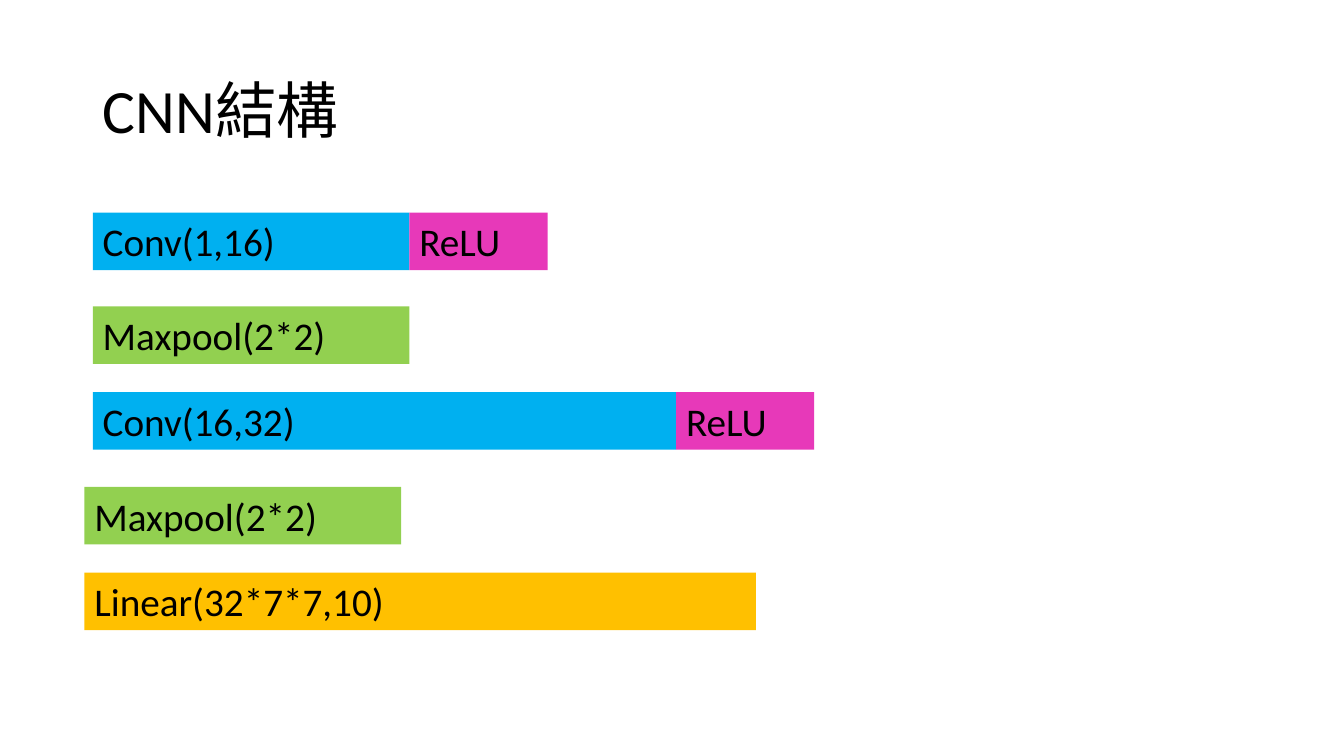
from dataclasses import dataclass

from pptx import Presentation
from pptx.dml.color import RGBColor
from pptx.enum.text import MSO_ANCHOR, MSO_AUTO_SIZE, PP_ALIGN
from pptx.slide import Slide
from pptx.util import Cm, Pt

MIDDLE, TOP = MSO_ANCHOR.MIDDLE, MSO_ANCHOR.TOP
LEFT = PP_ALIGN.LEFT
FIXED = MSO_AUTO_SIZE.NONE

COLORS = {
    "text": "000000",
    "conv": "00B0F0",
    "relu": "E739B9",
    "pool": "92D050",
    "linear": "FFC000",
}
FONT = "Calibri"
MARGIN, OUTER_MARGIN = 2.34, 2.13
BAR_HEIGHT = 1.45
POOL_WIDTH, RELU_WIDTH = 7.98, 3.48


@dataclass(frozen=True)
class Layer:
    """One layer of the network; lengths are in centimetres."""

    text: str
    kind: str
    left: float
    top: float
    width: float
    activated: bool = False


LAYERS = [
    Layer("Conv(1,16)", "conv", MARGIN, 5.36, POOL_WIDTH, True),
    Layer("Maxpool(2*2)", "pool", MARGIN, 7.72, POOL_WIDTH),
    Layer("Conv(16,32)", "conv", MARGIN, 9.88, 14.7, True),
    Layer("Maxpool(2*2)", "pool", OUTER_MARGIN, 12.27, POOL_WIDTH),
    Layer("Linear(32*7*7,10)", "linear", OUTER_MARGIN, 14.43, 16.92),
]


def apply_format(target: object, values: dict[str, object]) -> None:
    """Set every named attribute on the target."""
    for name, value in values.items():
        setattr(target, name, value)


def add_text(page: Slide, text: str, place: tuple[float, float, float, float],
             size: int, fill: str = "", anchor: MSO_ANCHOR = TOP,
             spacing: float = 1.0) -> None:
    """Add a text box, filled when a colour key is given."""
    box = page.shapes.add_textbox(*map(Cm, place))
    if fill:
        box.fill.solid()
        box.fill.fore_color.rgb = RGBColor.from_string(COLORS[fill])
    apply_format(box.text_frame, {"word_wrap": True, "auto_size": FIXED,
                                  "vertical_anchor": anchor})
    para = box.text_frame.paragraphs[0]
    apply_format(para, {"alignment": LEFT, "line_spacing": spacing})
    span = para.add_run()
    span.text = text
    apply_format(span.font, {"name": FONT, "size": Pt(size)})
    span.font.color.rgb = RGBColor.from_string(COLORS["text"])


def add_layer(page: Slide, layer: Layer) -> None:
    """Draw a layer bar and the activation that adjoins it."""
    add_text(page, layer.text, (layer.left, layer.top, layer.width, BAR_HEIGHT),
             28, layer.kind)
    if layer.activated:
        add_text(page, "ReLU", (layer.left + layer.width, layer.top,
                                RELU_WIDTH, BAR_HEIGHT), 28, "relu")


def main() -> None:
    """Build and save the deck."""
    deck = Presentation()
    apply_format(deck, {"slide_width": Cm(33.87), "slide_height": Cm(19.05)})
    page = deck.slides.add_slide(deck.slide_layouts[6])
    add_text(page, "CNN結構", (MARGIN, 1.01, 29.21, 3.68), 44,
             anchor=MIDDLE, spacing=0.9)
    for layer in LAYERS:
        add_layer(page, layer)
    deck.save("out.pptx")


main()
